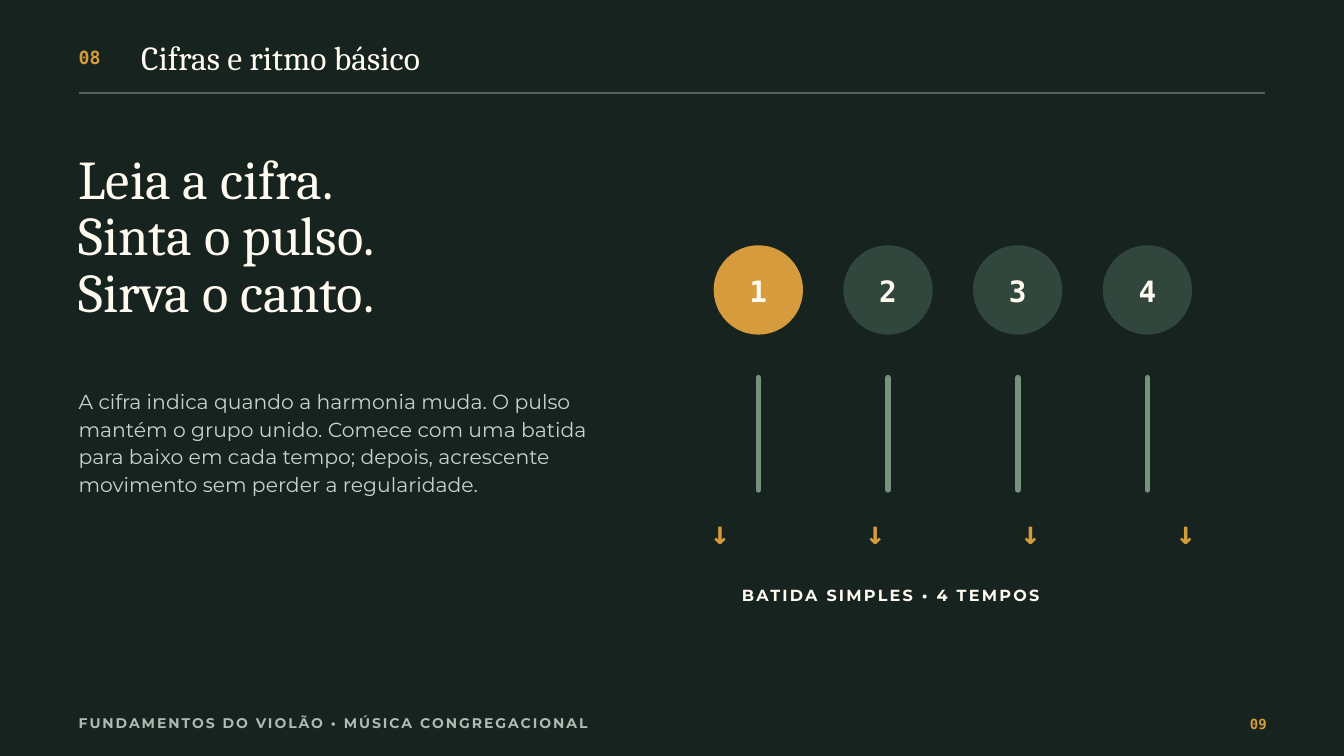
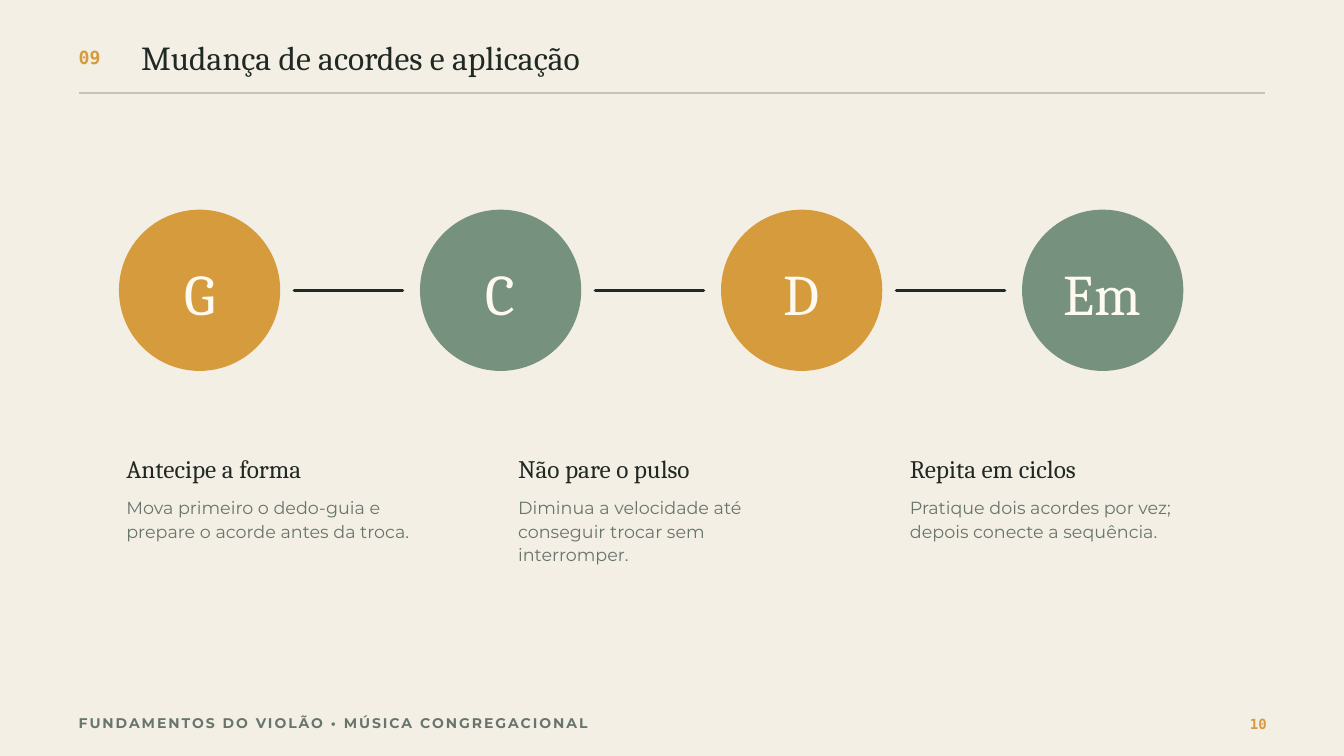
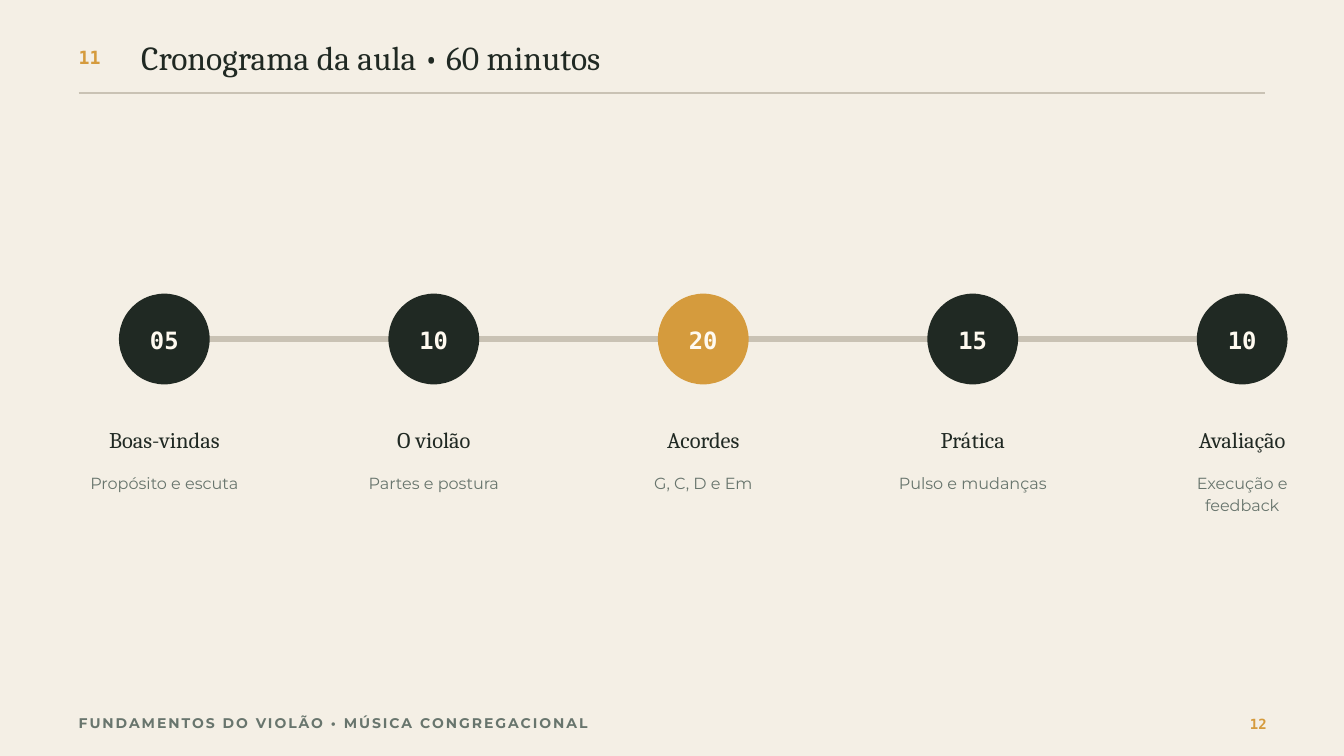
from lxml.etree import SubElement
from pptx import Presentation
from pptx.dml.color import RGBColor
from pptx.enum.shapes import MSO_CONNECTOR, MSO_SHAPE
from pptx.enum.text import MSO_ANCHOR, PP_ALIGN
from pptx.oxml.ns import qn
from pptx.util import Inches, Pt

# Shared look
SERIF, SANS, MONO = "Cambria", "Montserrat", "DejaVu Sans Mono"
GOLD, SAGE, MOSS = "D59B3D", "76917E", "31463C"
INK, CREAM, GREY, SAND = "202923", "FFFAF0", "68756D", "C9C2B4"
DARK = dict(back="17231F", title=CREAM, rule="52635A", foot="AEBBB2")
LIGHT = dict(back="F4EFE5", title=INK, rule=SAND, foot=GREY)
LEFT, RIGHT = 1.17, 18.83
DOT = " • "  # en spaces around the dot


def color(code):
    return RGBColor.from_string(code)


def write(frame, words, font=SANS, size=18, ink=INK, bold=False, lead=None,
          align=PP_ALIGN.LEFT, track=0, tabs=()):
    """Fill a text frame, one paragraph for each line of words."""
    frame.word_wrap = True
    for i, line in enumerate(words.split("\n")):
        par = frame.paragraphs[0] if i == 0 else frame.add_paragraph()
        if tabs:
            stops = SubElement(par._p.get_or_add_pPr(), qn("a:tabLst"))
            for stop in tabs:
                SubElement(stops, qn("a:tab"), pos=str(Inches(stop)), algn="l")
        par.alignment = align
        if lead:
            par.line_spacing = Pt(lead)
        run = par.add_run()
        run.text = line
        run.font.name, run.font.size, run.font.bold = font, Pt(size), bold
        run.font.color.rgb = color(ink)
        if track:
            run._r.get_or_add_rPr().set("spc", str(round(track * 100)))


def inset(frame, side):
    frame.margin_left = frame.margin_right = Inches(side)
    frame.margin_top = frame.margin_bottom = Inches(side)


def text(slide, box, words, **fmt):
    frame = slide.shapes.add_textbox(*map(Inches, box)).text_frame
    inset(frame, 0)
    write(frame, words, **fmt)


def line(slide, start, end, ink, width, cap="flat"):
    link = slide.shapes.add_connector(
        MSO_CONNECTOR.STRAIGHT, *map(Inches, (*start, *end)))
    link.line.color.rgb = color(ink)
    link.line.width = Pt(width)
    props = link._element.spPr
    props.find(qn("a:ln")).set("cap", cap)
    SubElement(props, qn("a:effectLst"))


def disc(slide, x, y, side, fill, words, lift, **fmt):
    """Draw a circle whose label sits a little above its middle."""
    shape = slide.shapes.add_shape(
        MSO_SHAPE.OVAL, *map(Inches, (x, y, side, side)))
    shape.shadow.inherit = False
    shape.fill.solid()
    shape.fill.fore_color.rgb = color(fill)
    shape.line.fill.background()
    frame = shape.text_frame
    inset(frame, 0)
    frame.margin_bottom = Inches(2 * lift)
    frame.vertical_anchor = MSO_ANCHOR.MIDDLE
    write(frame, words, ink=CREAM, align=PP_ALIGN.CENTER, **fmt)


def page(deck, theme, part, title, number):
    """Add a slide with its background, header and footer."""
    slide = deck.slides.add_slide(deck.slide_layouts[6])
    slide.background.fill.solid()
    slide.background.fill.fore_color.rgb = color(theme["back"])
    # Header
    text(slide, (LEFT, 0.64, 0.73, 0.35), part, font=MONO, size=19.5,
         ink=GOLD, bold=True, lead=27.3)
    text(slide, (2.1, 0.63, 15.1, 0.54), title, font=SERIF, size=36,
         ink=theme["title"], lead=37.4)
    line(slide, (LEFT, 1.38), (RIGHT, 1.38), theme["rule"], 2)
    # Footer
    text(slide, (LEFT, 10.59, 9.38, 0.29),
         f"FUNDAMENTOS DO VIOLÃO{DOT}MÚSICA CONGREGACIONAL",
         size=15, ink=theme["foot"], bold=True, lead=21, track=2.1)
    text(slide, (18.12, 10.6, 0.73, 0.28), number, font=MONO, size=15,
         ink=GOLD, bold=True, lead=21, align=PP_ALIGN.RIGHT)
    return slide


def motto(slide, x, y, words, note):
    text(slide, (x, y, 8.12, 2.57), words, font=SERIF, size=58.5,
         ink=CREAM, lead=60.8)
    text(slide, (x, y + 3.47, 7.6, 1.61), note, size=21.8, ink="C8D2CA",
         lead=29.4)


def beats(slide, x, y, count, label):
    """Numbered beats, each with its pulse, above a row of strokes."""
    side, step, pitch = 1.33, 1.93, 2.31
    for i in range(count):
        left = x + i * step
        mid = left + side / 2
        disc(slide, left, y, side, MOSS if i else GOLD, str(i + 1), 0.03,
             font=MONO, size=31.5, bold=True, lead=44.1)
        line(slide, (mid, y + 1.97), (mid, y + 3.64), SAGE, 6, "rnd")
    text(slide, (x - 0.05, y + 3.88, 7.29, 0.64), "\t".join("↓" * count),
         font=MONO, size=34.5, ink=GOLD, bold=True, lead=48.3,
         tabs=[pitch * i for i in range(1, count)])
    text(slide, (x + 0.42, y + 5.01, 6.46, 0.33), label, size=17.2,
         ink=CREAM, bold=True, lead=24.1, track=2.4)


def chords(slide, x, y, names):
    side, step = 2.4, 4.48
    for i, name in enumerate(names):
        left = x + i * step
        disc(slide, left, y, side, SAGE if i % 2 else GOLD, name, 0.05,
             font=SERIF, size=61.5, lead=86.1)
        if i < len(names) - 1:
            start, mid = left + side + 0.21, y + side / 2
            line(slide, (start, mid), (start + 1.61, mid), INK, 3.75, "rnd")


def tips(slide, x, y, items):
    for i, (head, note) in enumerate(items):
        left = x + i * 5.83
        text(slide, (left, y, 4.48, 0.4), head, font=SERIF, size=27,
             lead=28.1)
        text(slide, (left, y + 0.55, 4.48, 0.68), note, size=18.8, ink=GREY,
             lead=25.3)


def agenda(slide, x, y, items, peak):
    """Timeline of lesson steps; the step at peak is highlighted."""
    side, step, wide = 1.35, 4.01, 2.29
    mid = y + side / 2
    line(slide, (x + 0.21, mid), (x + 16.25, mid), SAND, 6)
    for i, (time, head, note) in enumerate(items):
        left = x + i * step
        edge = left + (side - wide) / 2
        disc(slide, left, y, side, GOLD if i == peak else INK, time, 0.02,
             font=MONO, size=25.5, bold=True, lead=35.7)
        text(slide, (edge, y + 2.02, wide, 0.37), head, font=SERIF, size=24,
             lead=25, align=PP_ALIGN.CENTER)
        text(slide, (edge, y + 2.64, wide, 0.31), note, size=17.2, ink=GREY,
             lead=23.3, align=PP_ALIGN.CENTER)


def main():
    deck = Presentation()
    deck.slide_width, deck.slide_height = Inches(20), Inches(11.25)

    # Rhythm
    slide = page(deck, DARK, "08", "Cifras e ritmo básico", "09")
    motto(slide, LEFT, 2.28, "Leia a cifra.\nSinta o pulso.\nSirva o canto.",
          "A cifra indica quando a harmonia muda. O pulso mantém o grupo "
          "unido. Comece com uma batida para baixo em cada tempo; depois, "
          "acrescente movimento sem perder a regularidade.")
    beats(slide, 10.62, 3.65, 4, f"BATIDA SIMPLES{DOT}4 TEMPOS")

    # Chord changes
    slide = page(deck, LIGHT, "09", "Mudança de acordes e aplicação", "10")
    chords(slide, 1.77, 3.12, ["G", "C", "D", "Em"])
    tips(slide, 1.88, 6.81, [
        ("Antecipe a forma",
         "Mova primeiro o dedo-guia e prepare o acorde antes da troca."),
        ("Não pare o pulso",
         "Diminua a velocidade até conseguir trocar sem interromper."),
        ("Repita em ciclos",
         "Pratique dois acordes por vez; depois conecte a sequência."),
    ])

    # Schedule
    slide = page(deck, LIGHT, "11", f"Cronograma da aula{DOT}60 minutos", "12")
    agenda(slide, 1.77, 4.37, [
        ("05", "Boas-vindas", "Propósito e escuta"),
        ("10", "O violão", "Partes e postura"),
        ("20", "Acordes", "G, C, D e Em"),
        ("15", "Prática", "Pulso e mudanças"),
        ("10", "Avaliação", "Execução e feedback"),
    ], peak=2)

    deck.save("out.pptx")


if __name__ == "__main__":
    main()
